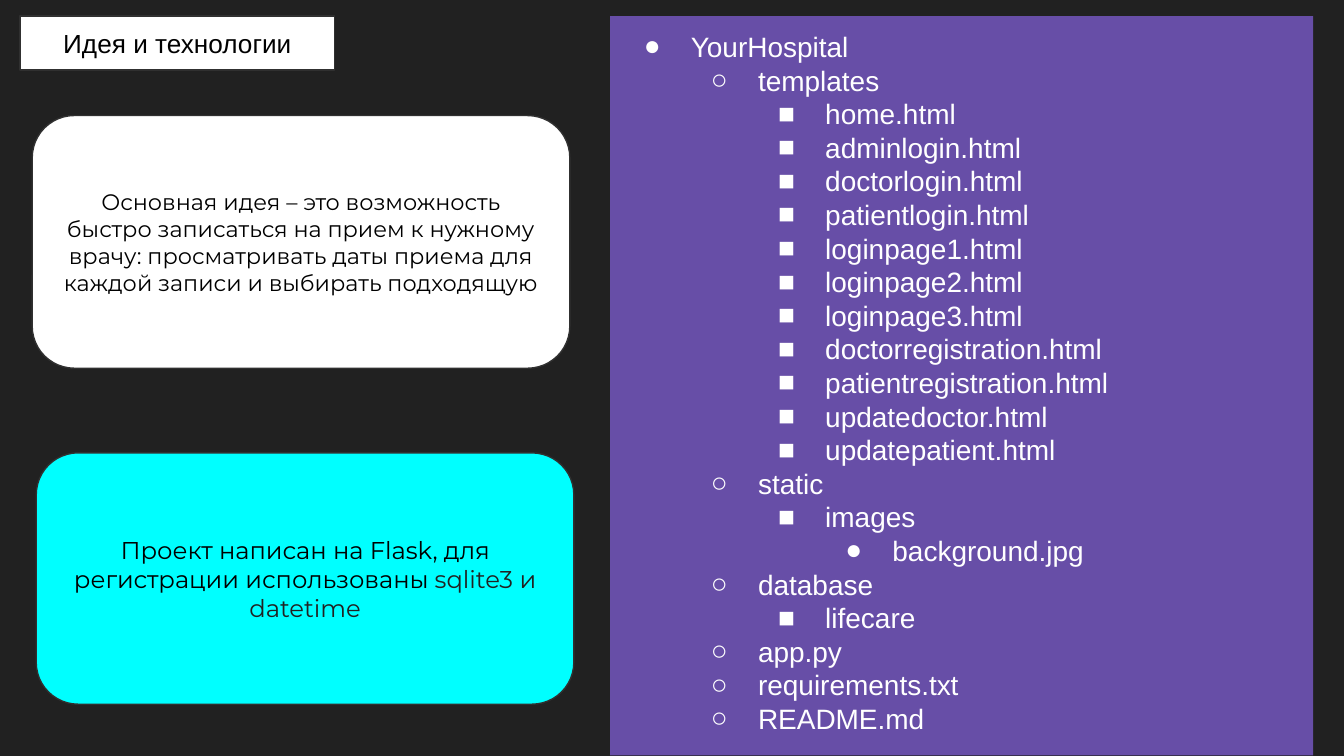
from lxml.etree import SubElement
from pptx import Presentation
from pptx.dml.color import RGBColor
from pptx.enum.shapes import MSO_SHAPE as SHAPE
from pptx.enum.text import MSO_ANCHOR as ANCHOR, MSO_AUTO_SIZE as AUTO, PP_ALIGN as ALIGN
from pptx.oxml.ns import qn
from pptx.util import Inches, Pt

BLACK, DARK, WHITE = "000000", "212121", "FFFFFF"
CYAN, PURPLE, OUTLINE = "00FFFF", "674EA7", "303030"
BULLETS = "●○■●"

TITLE = "Идея и технологии"
CARDS = [
    dict(at=(0.24, 0.86, 4, 1.88), fill=WHITE, size=12, runs=[
        ("Основная идея – это возможность быстро записаться на прием к нужному врачу: "
         "просматривать даты приема для каждой записи и выбирать подходящую", BLACK)]),
    dict(at=(0.27, 3.37, 4, 1.87), fill=CYAN, size=13, runs=[
        ("Проект написан на Flask, для регистрации использованы ", BLACK),
        ("sqlite3 и datetime", DARK)]),
]
TREE = [
    ("YourHospital", 0),
    ("templates", 1),
    ("home.html", 2),
    ("adminlogin.html", 2),
    ("doctorlogin.html", 2),
    ("patientlogin.html", 2),
    ("loginpage1.html", 2),
    ("loginpage2.html", 2),
    ("loginpage3.html", 2),
    ("doctorregistration.html", 2),
    ("patientregistration.html", 2),
    ("updatedoctor.html", 2),
    ("updatepatient.html", 2),
    ("static", 1),
    ("images", 2),
    ("background.jpg", 3),
    ("database", 1),
    ("lifecare", 2),
    ("app.ру", 1),
    ("requirements.txt", 1),
    ("README.md", 1),
]


def rgb(value):
    return RGBColor.from_string(value)


def place(sp, at):
    sp.left, sp.top, sp.width, sp.height = map(Inches, at)


def style(sp, fill, line=None, anchor=ANCHOR.MIDDLE):
    sp.fill.solid()
    sp.fill.fore_color.rgb = rgb(fill)
    if line:
        sp.line.color.rgb = rgb(line)
        sp.line.width = Pt(0.75)
    else:
        sp.line.fill.background()
    tf = sp.text_frame
    tf.word_wrap = True
    tf.auto_size = AUTO.NONE
    tf.vertical_anchor = anchor
    tf.margin_left = tf.margin_right = tf.margin_top = tf.margin_bottom = Inches(0.1)
    return tf


def add_text(p, text, size, color, font="Arial", align=ALIGN.CENTER):
    p.alignment = align
    r = p.add_run()
    r.text = text
    r.font.size = Pt(size)
    r.font.name = font
    r.font.color.rgb = rgb(color)


def add_bullet(p, level):
    p.level = level
    p.space_before = Pt(0)
    p.line_spacing = Pt(18)
    pPr = p._p.get_or_add_pPr()
    pPr.set("marL", str(Inches(0.5 * (level + 1))))
    pPr.set("indent", str(Inches(-0.35)))
    color = SubElement(pPr, qn("a:buClr"))
    SubElement(color, qn("a:srgbClr"), val=WHITE)
    SubElement(pPr, qn("a:buFont"), typeface="Arial")
    SubElement(pPr, qn("a:buChar"), char=BULLETS[level])


prs = Presentation()
prs.slide_width = Inches(10)
prs.slide_height = prs.slide_width * 9 // 16
s = prs.slides.add_slide(prs.slide_layouts[1])
s.background.fill.solid()
s.background.fill.fore_color.rgb = rgb(DARK)

title, body = s.shapes.title, s.placeholders[1]
place(title, (0.15, 0.12, 2.34, 0.4))
geom = SubElement(title._element.spPr, qn("a:prstGeom"), prst="roundRect")
SubElement(geom, qn("a:avLst"))
tf = style(title, WHITE, OUTLINE)
add_text(tf.paragraphs[0], TITLE, 14, BLACK)

for card in CARDS:
    sp = s.shapes.add_shape(SHAPE.ROUNDED_RECTANGLE, *map(Inches, card["at"]))
    sp.shadow.inherit = False
    tf = style(sp, card["fill"], OUTLINE)
    for text, color in card["runs"]:
        add_text(tf.paragraphs[0], text, card["size"], color, font="Montserrat")

place(body, (4.54, 0.12, 5.23, 5.5))
tf = style(body, PURPLE, anchor=ANCHOR.TOP)
for i, (name, level) in enumerate(TREE):
    p = tf.add_paragraph() if i else tf.paragraphs[0]
    add_bullet(p, level)
    add_text(p, name, 15, WHITE, align=ALIGN.LEFT)

prs.save("out.pptx")
